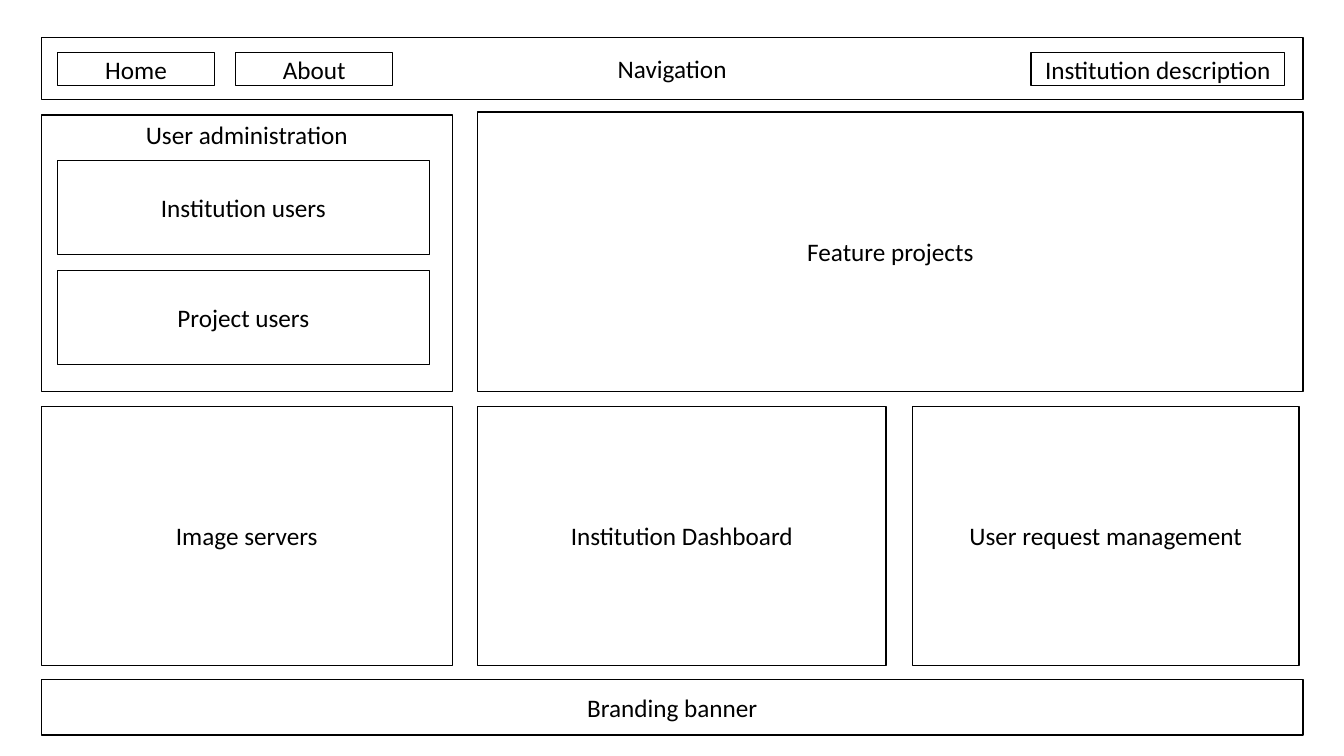
from pptx import Presentation
from pptx.dml.color import RGBColor
from pptx.enum.shapes import MSO_SHAPE as Preset
from pptx.enum.text import MSO_ANCHOR as Anchor, PP_ALIGN as Align
from pptx.util import Cm, Pt

COLOURS = {"ink": "000000"}
FONT = "Calibri"

PAGE_LEFT, PAGE_WIDTH = 1.04, 31.8
INNER_LEFT = 1.45
SIDE_WIDTH = 10.36
MAIN_LEFT = 12.04
MAIN_WIDTH = PAGE_LEFT + PAGE_WIDTH - MAIN_LEFT


def add_panel(slide, label, left, top, width, height, anchor=Anchor.MIDDLE):
    panel = slide.shapes.add_shape(
        Preset.RECTANGLE, Cm(left), Cm(top), Cm(width), Cm(height))
    ink = RGBColor.from_string(COLOURS["ink"])
    panel.shadow.inherit = False
    panel.fill.background()
    panel.line.color.rgb = ink
    panel.line.width = Pt(1)

    frame = panel.text_frame
    frame.word_wrap = True
    frame.vertical_anchor = anchor
    frame.margin_top = frame.margin_bottom = Cm(0.1)
    caption = frame.paragraphs[0]
    caption.text = label
    caption.alignment = Align.CENTER
    caption.font.name = FONT
    caption.font.size = Pt(18)
    caption.font.color.rgb = ink


def add_row(slide, top, height, panels):
    for label, left, width in panels:
        add_panel(slide, label, left, top, width, height)


def add_navigation(slide):
    add_panel(slide, "Navigation", PAGE_LEFT, 0.94, PAGE_WIDTH, 1.57)
    add_row(slide, 1.32, 0.84, [
        ("Home", INNER_LEFT, 3.96),
        ("About", 5.94, 3.96),
        ("Institution description", 25.98, 6.4),
    ])


def add_user_administration(slide):
    add_panel(slide, "User administration",
              PAGE_LEFT, 2.9, SIDE_WIDTH, 6.96, Anchor.TOP)
    for index, label in enumerate(["Institution users", "Project users"]):
        add_panel(slide, label, INNER_LEFT, 4.04 + index * 2.77, 9.37, 2.37)


def main():
    deck = Presentation()
    deck.slide_width, deck.slide_height = Cm(33.87), Cm(19.05)
    slide = deck.slides.add_slide(deck.slide_layouts[6])

    add_navigation(slide)
    add_user_administration(slide)
    add_panel(slide, "Feature projects", MAIN_LEFT, 2.82, MAIN_WIDTH, 7.04)
    add_row(slide, 10.24, 6.53, [
        ("Image servers", PAGE_LEFT, SIDE_WIDTH),
        ("Institution Dashboard", MAIN_LEFT, 10.29),
        ("User request management", 22.99, 9.75),
    ])
    add_panel(slide, "Branding banner", PAGE_LEFT, 17.12, PAGE_WIDTH, 1.4)

    deck.save("out.pptx")


main()
